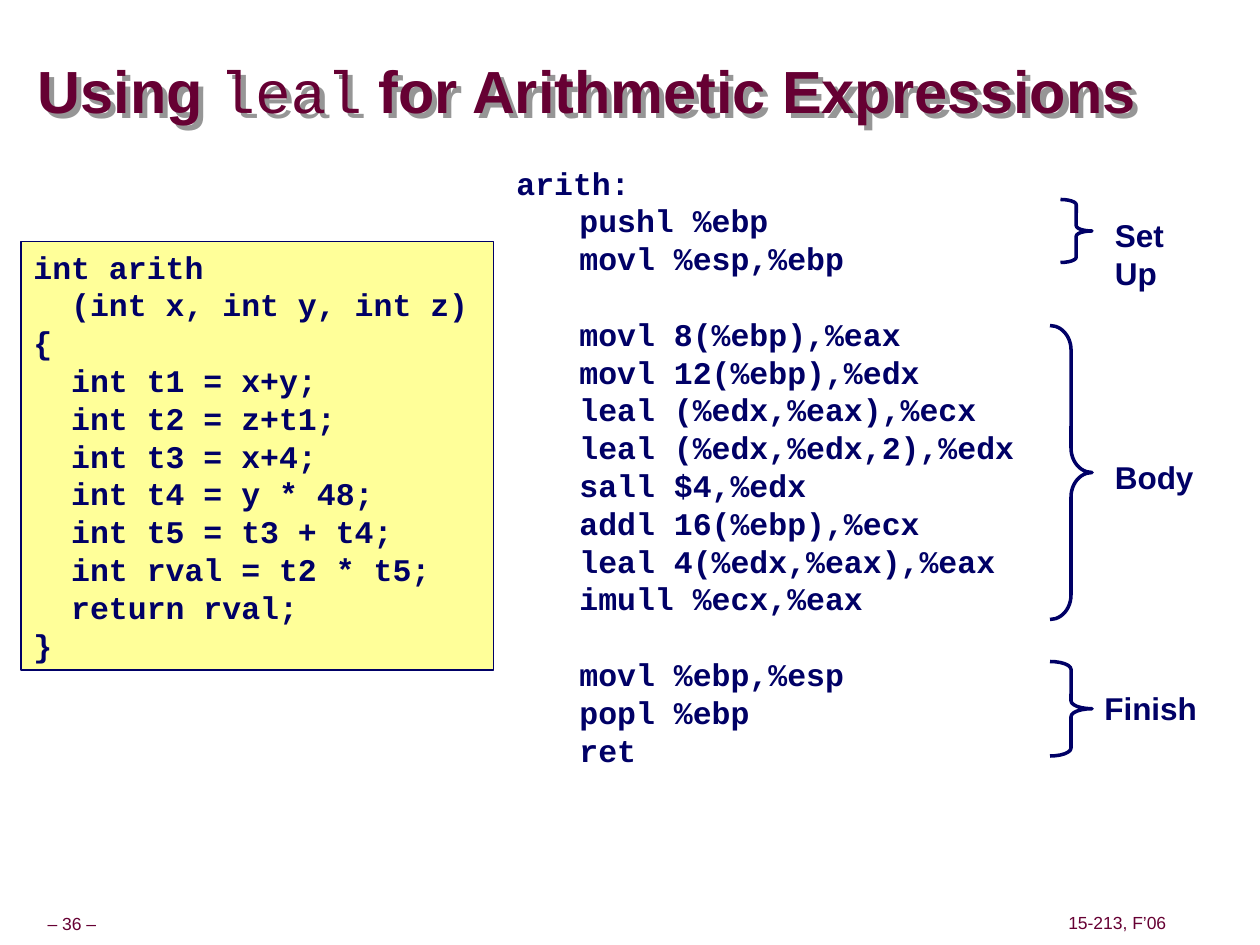
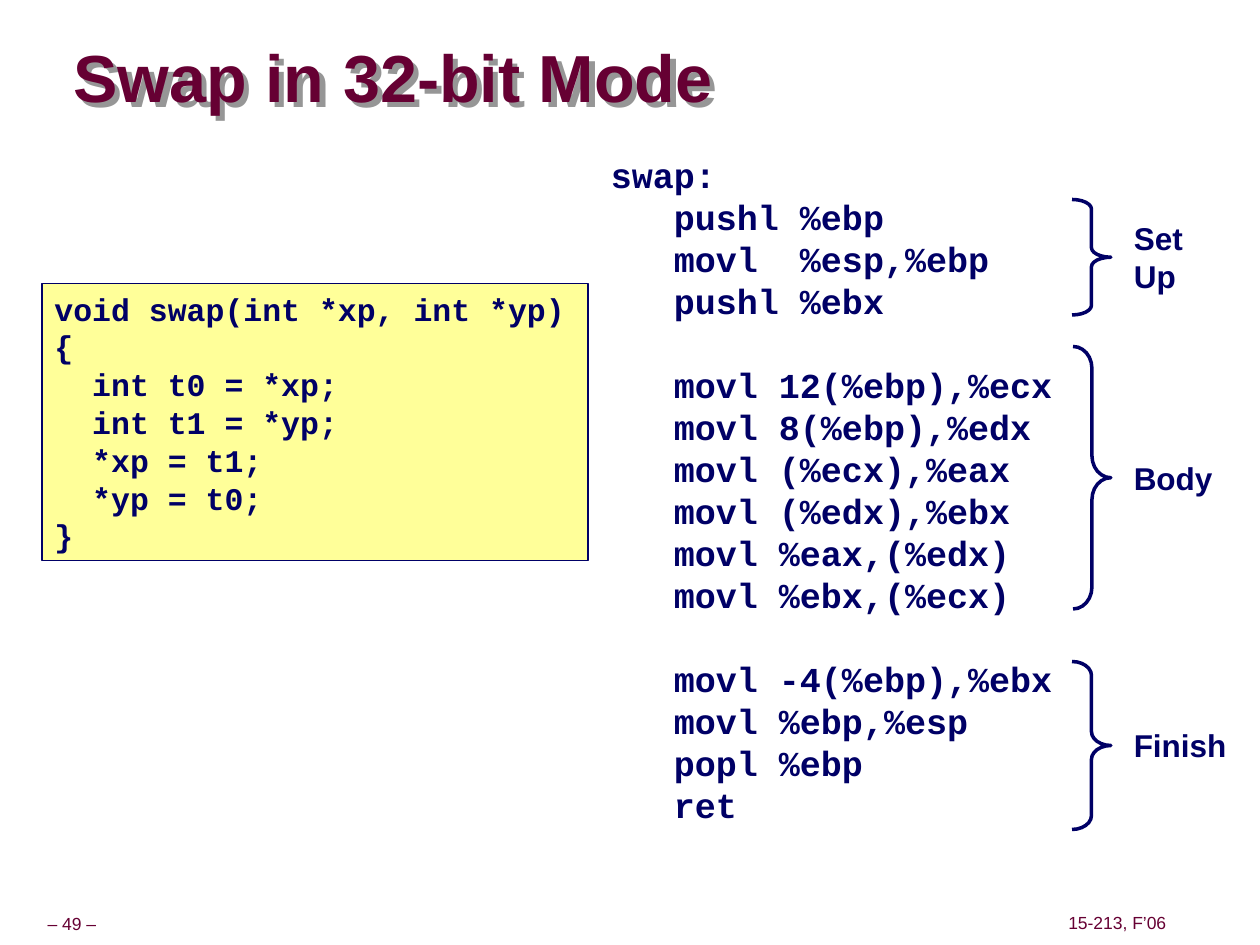
import pptx
import pptx.util
import pptx.dml.color
import pptx.enum.shapes
import pptx.enum.text
import lxml.etree

PX = 7620
WINE, NAVY, CREAM, GRAY = "660033", "000066", "FFFF99", "969696"
SANS, MONO = "Arial", "Courier New"
DRAW = "http://schemas.openxmlformats.org/drawingml/2006/main"
KIND = pptx.enum.shapes.MSO_SHAPE
ALIGN = pptx.enum.text.PP_ALIGN
MID = pptx.enum.text.MSO_ANCHOR.MIDDLE


def hue(code):
    return pptx.dml.color.RGBColor.from_string(code)


def write(shape, text, size, face=SANS, tint=NAVY, bold=True, lead=1.2,
          indent=0, wrap=True, align=ALIGN.LEFT):
    frame = shape.text_frame
    frame.word_wrap = wrap
    pitch = pptx.util.Pt(size * lead)
    gap = 0
    para = frame.paragraphs[0]
    for row, line in enumerate(text.split("\n")):
        if not line:
            gap = pitch
            continue
        if row:
            para = frame.add_paragraph()
        para.text = line.strip()
        para.alignment = align
        para.line_spacing = pitch
        para.space_before = gap
        para.font.name = face
        para.font.size = pptx.util.Pt(size)
        para.font.bold = bold
        para.font.color.rgb = hue(tint)
        if line.startswith(" "):
            para._p.get_or_add_pPr().set("marL", str(indent * PX))
        gap = 0


pages = [
    {
        "num": 36,
        "title": [("Using ", SANS), ("leal", MONO),
                  (" for Arithmetic Expressions", SANS)],
        "head": (36, 40, 1123, 100), "size": 34,
        "box": (20, 230, 450, 408),
        "code": """int arith
  (int x, int y, int z)
{
  int t1 = x+y;
  int t2 = z+t1;
  int t3 = x+4;
  int t4 = y * 48;
  int t5 = t3 + t4;
  int rval = t2 * t5;
  return rval;
}""",
        "pane": (480, 150, 540, 588), "type": 18,
        "asm": """arith:
  pushl %ebp
  movl %esp,%ebp

  movl 8(%ebp),%eax
  movl 12(%ebp),%edx
  leal (%edx,%eax),%ecx
  leal (%edx,%edx,2),%edx
  sall $4,%edx
  addl 16(%ebp),%ecx
  leal 4(%edx,%eax),%eax
  imull %ecx,%eax

  movl %ebp,%esp
  popl %ebp
  ret""",
        "parts": [
            ("Body", (1000, 310, 40, 280), (1050, 430, 106, 48)),
            ("Set\nUp", (1010, 190, 30, 60), (1050, 200, 78, 84)),
            ("Finish", (1000, 630, 40, 90), (1040, 650, 120, 48)),
        ],
    },
    {
        "num": 49,
        "title": [("Swap in 32-bit Mode", SANS)],
        "head": (70, 40, 1004, 76), "size": 38,
        "box": (40, 270, 520, 264),
        "code": """void swap(int *xp, int *yp)
{
  int t0 = *xp;
  int t1 = *yp;
  *xp = t1;
  *yp = t0;
}""",
        "pane": (570, 140, 480, 652), "type": 20,
        "asm": """swap:
  pushl %ebp
  movl  %esp,%ebp
  pushl %ebx

  movl 12(%ebp),%ecx
  movl 8(%ebp),%edx
  movl (%ecx),%eax
  movl (%edx),%ebx
  movl %eax,(%edx)
  movl %ebx,(%ecx)

  movl -4(%ebp),%ebx
  movl %ebp,%esp
  popl %ebp
  ret""",
        "parts": [
            ("Body", (1022, 330, 36, 250), (1068, 431, 106, 48)),
            ("Set\nUp", (1021, 190, 37, 110), (1068, 203, 78, 84)),
            ("Finish", (1021, 630, 37, 160), (1068, 686, 120, 48)),
        ],
    },
]

deck = pptx.Presentation()
deck.slide_width = 1200 * PX
deck.slide_height = 900 * PX

for page in pages:
    slide = deck.slides.add_slide(deck.slide_layouts[5])
    shapes = slide.shapes

    feet = [(f"– {page['num']} –", (11, 866, 115, 30)),
            ("15-213, F’06", (1011, 865, 106, 30))]
    for text, spot in feet:
        foot = shapes.add_textbox(*[n * PX for n in spot])
        frame = foot.text_frame
        frame.vertical_anchor = MID
        frame.margin_left = frame.margin_right = 6 * PX
        write(foot, text, 10, tint=WINE, bold=False, lead=1.08,
              wrap=False, align=ALIGN.CENTER)

    head = shapes.title
    head.left, head.top, head.width, head.height = [n * PX for n in page["head"]]
    head.fill.background()
    glow = lxml.etree.SubElement(head._element.spPr, f"{{{DRAW}}}effectLst")
    cast = lxml.etree.SubElement(glow, f"{{{DRAW}}}outerShdw", dist=str(7 * PX),
                                 dir="2700000", algn="ctr", rotWithShape="0")
    lxml.etree.SubElement(cast, f"{{{DRAW}}}srgbClr", val=GRAY)
    frame = head.text_frame
    frame.auto_size = pptx.enum.text.MSO_AUTO_SIZE.NONE
    frame.vertical_anchor = MID
    frame.margin_left = frame.margin_right = 0
    frame.margin_top = frame.margin_bottom = 0
    para = frame.paragraphs[0]
    para.alignment = ALIGN.LEFT
    para.line_spacing = 0.87
    para.font.size = pptx.util.Pt(page["size"])
    para.font.color.rgb = hue(WINE)
    for text, face in page["title"]:
        run = para.add_run()
        run.text = text
        run.font.name = face
        run.font.bold = face == SANS

    box = shapes.add_shape(KIND.RECTANGLE, *[n * PX for n in page["box"]])
    box.shadow.inherit = False
    box.fill.solid()
    box.fill.fore_color.rgb = hue(CREAM)
    box.line.color.rgb = hue(NAVY)
    box.line.width = pptx.util.Pt(1)
    box.text_frame.vertical_anchor = pptx.enum.text.MSO_ANCHOR.TOP
    write(box, page["code"], 18, MONO, indent=36)

    pane = shapes.add_textbox(*[n * PX for n in page["pane"]])
    write(pane, page["asm"], page["type"], MONO, indent=60)

    for name, span, spot in page["parts"]:
        brace = shapes.add_shape(KIND.RIGHT_BRACE, *[n * PX for n in span])
        brace.adjustments[0] = span[3] / 12 / min(span[2:])
        brace.shadow.inherit = False
        brace.fill.background()
        brace.line.color.rgb = hue(NAVY)
        brace.line.width = pptx.util.Pt(2)
        label = shapes.add_textbox(*[n * PX for n in spot])
        write(label, name, 18)

deck.save("out.pptx")
